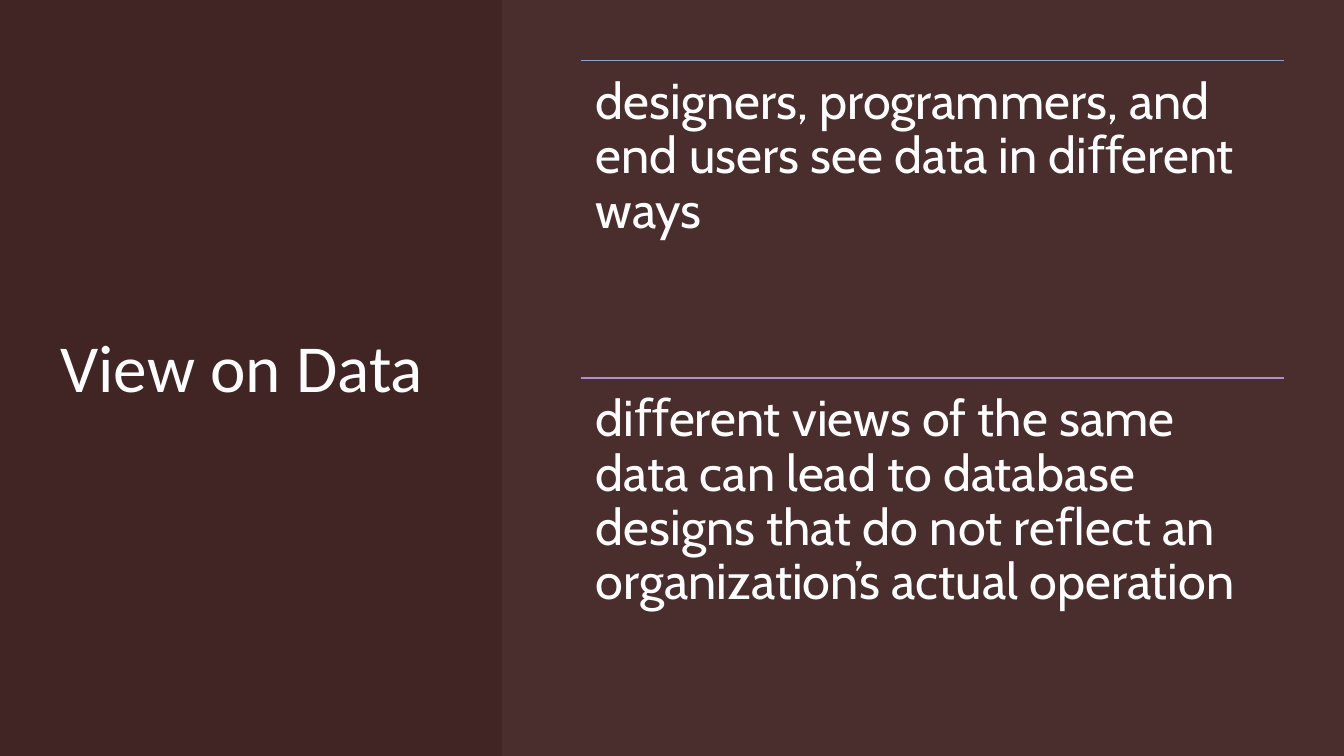
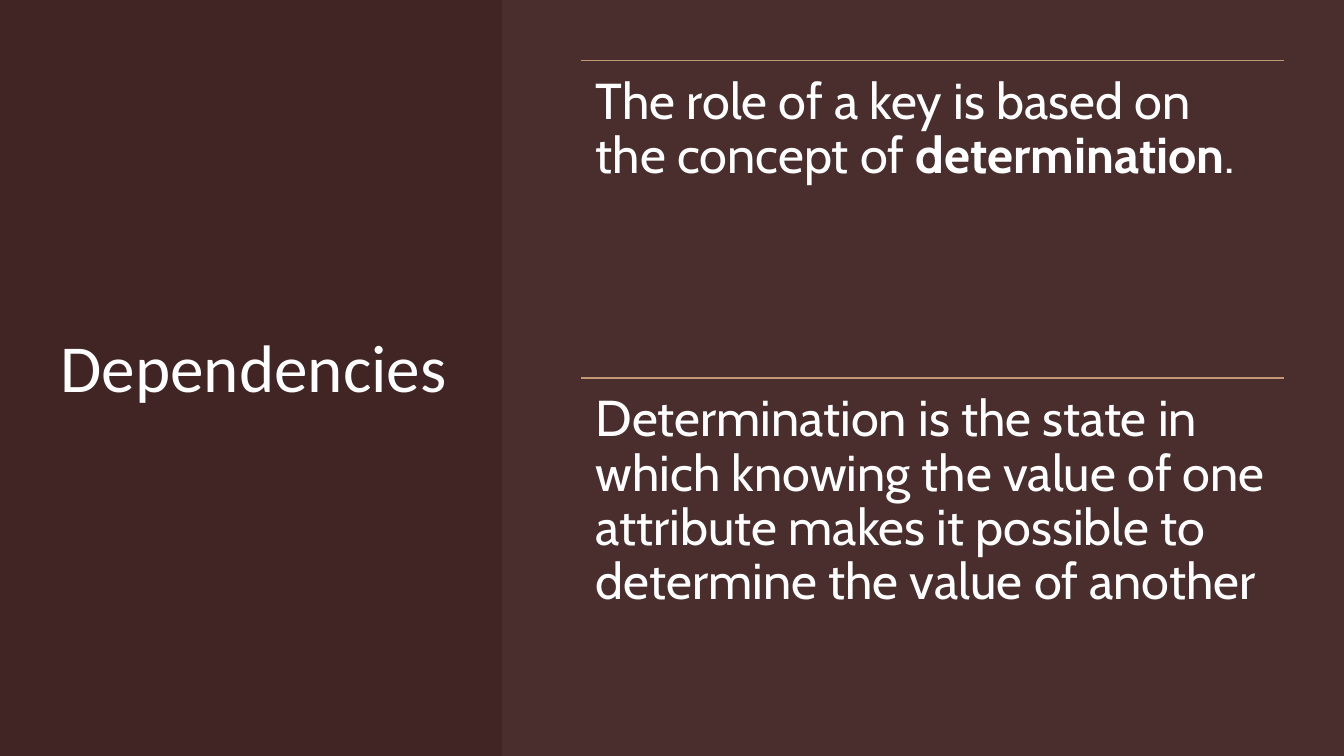
from lxml.etree import SubElement as Sub
from pptx import Presentation
from pptx.dml.color import RGBColor as RGB
from pptx.enum.shapes import MSO_CONNECTOR as Link, MSO_SHAPE as Form
from pptx.enum.text import MSO_ANCHOR as Anchor, MSO_AUTO_SIZE as Fit, PP_ALIGN as Align
from pptx.oxml.ns import qn
from pptx.util import Inches, Pt

# Content: title, then (rule colour, runs as (text, bold)) per row
SLIDES = [
    ("View on Data", [
        ("blue", [("designers, programmers, and end users see data in "
                   "diﬀerent ways", False)]),
        ("violet", [("diﬀerent views of the same data can lead to database "
                     "designs that do not reﬂect an organization’s actual "
                     "operation", False)]),
    ]),
    ("Dependencies", [
        ("tan", [("The role of a key is based on the concept of ", False),
                 ("determination", True), (".", False)]),
        ("tan", [("Determination is the state in which knowing the value of "
                  "one attribute makes it possible to determine the value of "
                  "another", False)]),
    ]),
]

# Shared look
HUES = {"back": "412524", "panel": "F0E5E5", "text": "FFFFFF",
        "blue": "8CA5CD", "violet": "AB8FCE", "tan": "C39876"}
WIDE, HIGH = 13.33, 7.5
EDGE = 4.98                         # left side of the panel
TOP = 0.6                           # margin above title and rows
LEFT, SPAN, STEP = 5.76, 6.97, 3.15  # row left, width and height
PAD = 0.15


def hue(name):
    return RGB.from_string(HUES[name])


def write(frame, runs, font="Cabin", size=36, pad=PAD, space=0.9,
          anchor=Anchor.TOP):
    frame.word_wrap = True
    frame.auto_size = Fit.NONE
    frame.vertical_anchor = anchor
    frame.margin_left = frame.margin_right = Inches(pad)
    frame.margin_top = frame.margin_bottom = Inches(pad)
    para = frame.paragraphs[0]
    para.alignment = Align.LEFT
    para.line_spacing = space
    for text, bold in runs:
        run = para.add_run()
        run.text = text
        run.font.name, run.font.size = font, Pt(size)
        run.font.bold = bold
        run.font.color.rgb = hue("text")


def set_theme(deck):
    """Background on the master, title place on the layout."""
    fill = deck.slide_master.background.fill
    fill.solid()
    fill.fore_color.rgb = hue("back")
    lay = deck.slide_layouts.get_by_name("Title Only")
    head = lay.placeholders[0]
    head.left, head.top = Inches(TOP), Inches(TOP)
    head.width, head.height = Inches(3.9), Inches(6.06)
    return lay


def add_panel(slide):
    panel = slide.shapes.add_shape(Form.RECTANGLE, Inches(EDGE), 0,
                                   Inches(WIDE - EDGE), Inches(HIGH))
    panel.shadow.inherit = False
    panel.line.fill.background()
    panel.fill.solid()
    panel.fill.fore_color.rgb = hue("panel")
    tint = panel.fill._xPr.find(".//" + qn("a:srgbClr"))
    Sub(tint, qn("a:alpha"), val="5000")


def add_row(slide, top, tone, runs):
    x, y, w = Inches(LEFT), Inches(top), Inches(SPAN)
    rule = slide.shapes.add_connector(Link.STRAIGHT, x, y, x + w, y)
    rule.line.color.rgb = hue(tone)
    rule.line.width = Pt(1)
    Sub(rule._element.spPr, qn("a:effectLst"))
    box = slide.shapes.add_textbox(x, y, w, Inches(STEP))
    write(box.text_frame, runs)


def main():
    deck = Presentation()
    deck.slide_width, deck.slide_height = Inches(WIDE), Inches(HIGH)
    lay = set_theme(deck)
    for title, rows in SLIDES:
        slide = deck.slides.add_slide(lay)
        write(slide.shapes.title.text_frame, [(title, False)], font="Calibri",
              size=48, pad=0, space=1.0, anchor=Anchor.MIDDLE)
        add_panel(slide)
        for i, (tone, runs) in enumerate(rows):
            add_row(slide, TOP + i * STEP, tone, runs)
    deck.save("out.pptx")


if __name__ == "__main__":
    main()
